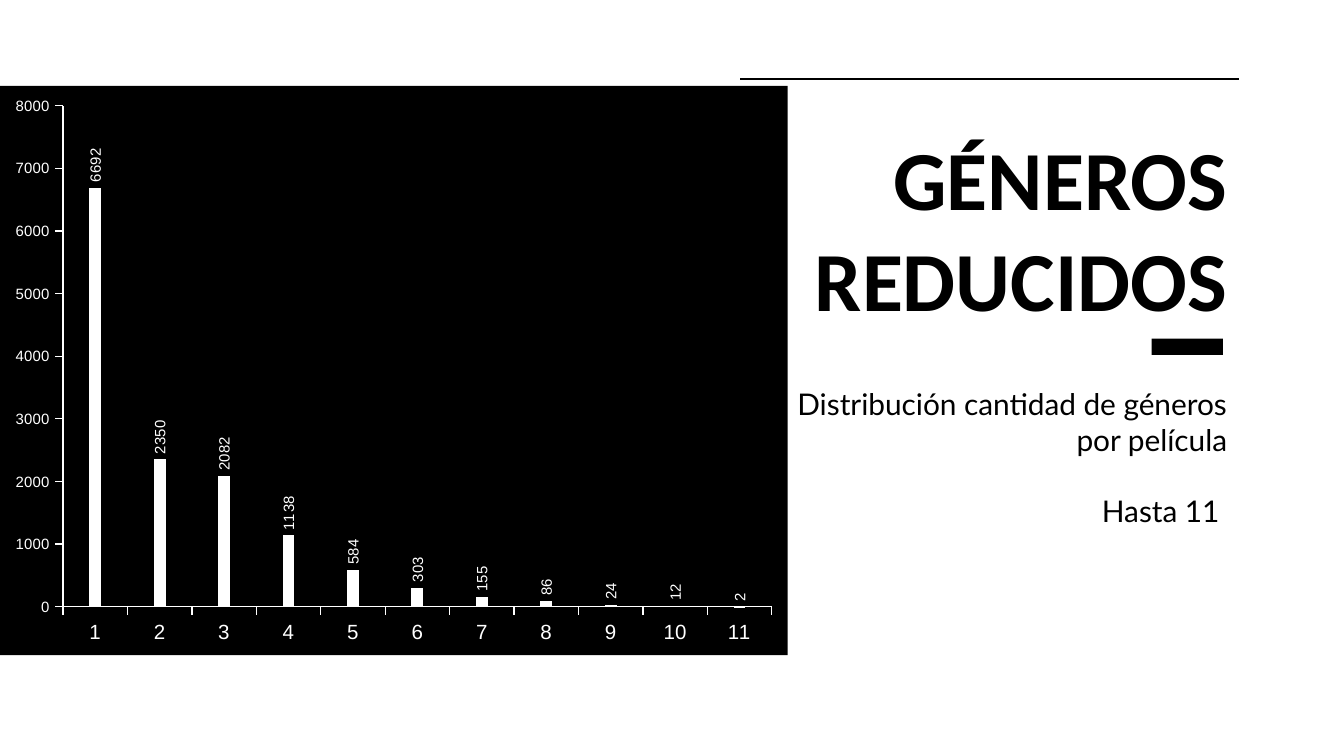
"""Build a slide with a column chart of the number of genres per film."""
import pptx
import pptx.chart.data
import pptx.dml.color
import pptx.enum.chart
import pptx.enum.shapes
import pptx.enum.text
import pptx.oxml
import pptx.util
from pptx.util import Pt

COLORS = {"ink": "000000", "paper": "FFFFFF"}
GENRE_COUNTS = [6692, 2350, 2082, 1138, 584, 303, 155, 86, 24, 12, 2]
PLOT_AREA = {"x": 0.08, "y": 0.035, "w": 0.9, "h": 0.88}
NAMESPACES = ('xmlns:c="http://schemas.openxmlformats.org/drawingml/2006/chart" '
              'xmlns:a="http://schemas.openxmlformats.org/drawingml/2006/main"')


def rgb(name):
    return pptx.dml.color.RGBColor.from_string(COLORS[name])


def style_font(font, name, size, color):
    font.name = name
    font.size = Pt(size)
    font.color.rgb = rgb(color)


presentation = pptx.Presentation()
presentation.slide_width, presentation.slide_height = Pt(720), Pt(405)
slide = presentation.slides.add_slide(presentation.slide_layouts[5])

title = slide.shapes.title
title.left, title.top, title.width, title.height = Pt(372.3), Pt(60.5), Pt(292.3), Pt(97.2)
title.text_frame.text = "GÉNEROS\vREDUCIDOS"
style_font(title.text_frame.paragraphs[0].font, "Calibri", 45, "ink")
title.text_frame.paragraphs[0].font.bold = True

subtitle = slide.shapes.add_textbox(Pt(416.9), Pt(199.4), Pt(247.7), Pt(111.6))
subtitle.text_frame.text = "Distribución cantidad de géneros por película\nHasta 11 "
for paragraph in subtitle.text_frame.paragraphs:
    style_font(paragraph.font, "Lato", 16, "ink")
subtitle.text_frame.paragraphs[1].space_before = Pt(19.2)

for shape in (title, subtitle):
    frame = shape.text_frame
    frame.word_wrap = True
    frame.auto_size = pptx.enum.text.MSO_AUTO_SIZE.NONE
    frame.vertical_anchor = pptx.enum.text.MSO_ANCHOR.TOP
    frame.margin_left = frame.margin_right = frame.margin_top = frame.margin_bottom = Pt(7.2)
    for paragraph in frame.paragraphs:
        paragraph.alignment = pptx.enum.text.PP_ALIGN.RIGHT

rule = slide.shapes.add_connector(
    pptx.enum.shapes.MSO_CONNECTOR.STRAIGHT, Pt(396.7), Pt(42.3), Pt(664), Pt(42.3))
rule.line.color.rgb = rgb("ink")
rule.line.width = Pt(0.75)
rule._element.spPr.append(pptx.oxml.parse_xml(f"<a:effectLst {NAMESPACES}/>"))

accent = slide.shapes.add_shape(
    pptx.enum.shapes.MSO_SHAPE.RECTANGLE, Pt(617), Pt(181.4), Pt(38.2), Pt(8.8))
accent.shadow.inherit = False
accent.fill.solid()
accent.fill.fore_color.rgb = rgb("ink")
accent.line.fill.background()

chart_data = pptx.chart.data.CategoryChartData()
chart_data.categories = [str(number) for number in range(1, len(GENRE_COUNTS) + 1)]
chart_data.add_series("Series 1", GENRE_COUNTS)
chart = slide.shapes.add_chart(
    pptx.enum.chart.XL_CHART_TYPE.COLUMN_CLUSTERED,
    Pt(0), Pt(46), Pt(422), Pt(305), chart_data).chart
chart.has_legend = False
chart.has_title = False
style_font(chart.font, "Arial", 8, "paper")

for axis, size in ((chart.category_axis, 11), (chart.value_axis, 8)):
    axis.has_major_gridlines = False
    axis.major_tick_mark = pptx.enum.chart.XL_TICK_MARK.OUTSIDE
    axis.minor_tick_mark = pptx.enum.chart.XL_TICK_MARK.NONE
    axis.format.line.color.rgb = rgb("paper")
    axis.format.line.width = Pt(0.75)
    style_font(axis.tick_labels.font, "Arial", size, "paper")
chart.value_axis.minimum_scale = 0
chart.value_axis.maximum_scale = 8000
chart.value_axis.major_unit = 1000

plot = chart.plots[0]
plot.gap_width = 444
plot.overlap = -90
plot.vary_by_categories = False
series = plot.series[0]
series.format.fill.solid()
series.format.fill.fore_color.rgb = rgb("paper")
labels = series.data_labels
labels.show_value = True
labels.position = pptx.enum.chart.XL_LABEL_POSITION.OUTSIDE_END
style_font(labels.font, "Arial", 8, "paper")
label_body = labels._element.find(".//{*}bodyPr")
label_body.set("rot", "-5400000")
label_body.set("vert", "horz")

chart_space = chart._chartSpace
chart_space.find("{*}chart").addnext(pptx.oxml.parse_xml(
    f'<c:spPr {NAMESPACES}><a:solidFill><a:srgbClr val="{COLORS["ink"]}"/></a:solidFill>'
    "<a:ln><a:noFill/></a:ln></c:spPr>"))
plot_area = chart_space.find(".//{*}plotArea")
for layout in plot_area.findall("{*}layout"):
    plot_area.remove(layout)
position = "".join(f'<c:{key} val="{value}"/>' for key, value in PLOT_AREA.items())
plot_area.insert(0, pptx.oxml.parse_xml(
    f'<c:layout {NAMESPACES}><c:manualLayout><c:layoutTarget val="inner"/>'
    f'<c:xMode val="edge"/><c:yMode val="edge"/>{position}</c:manualLayout></c:layout>'))

presentation.save("out.pptx")
